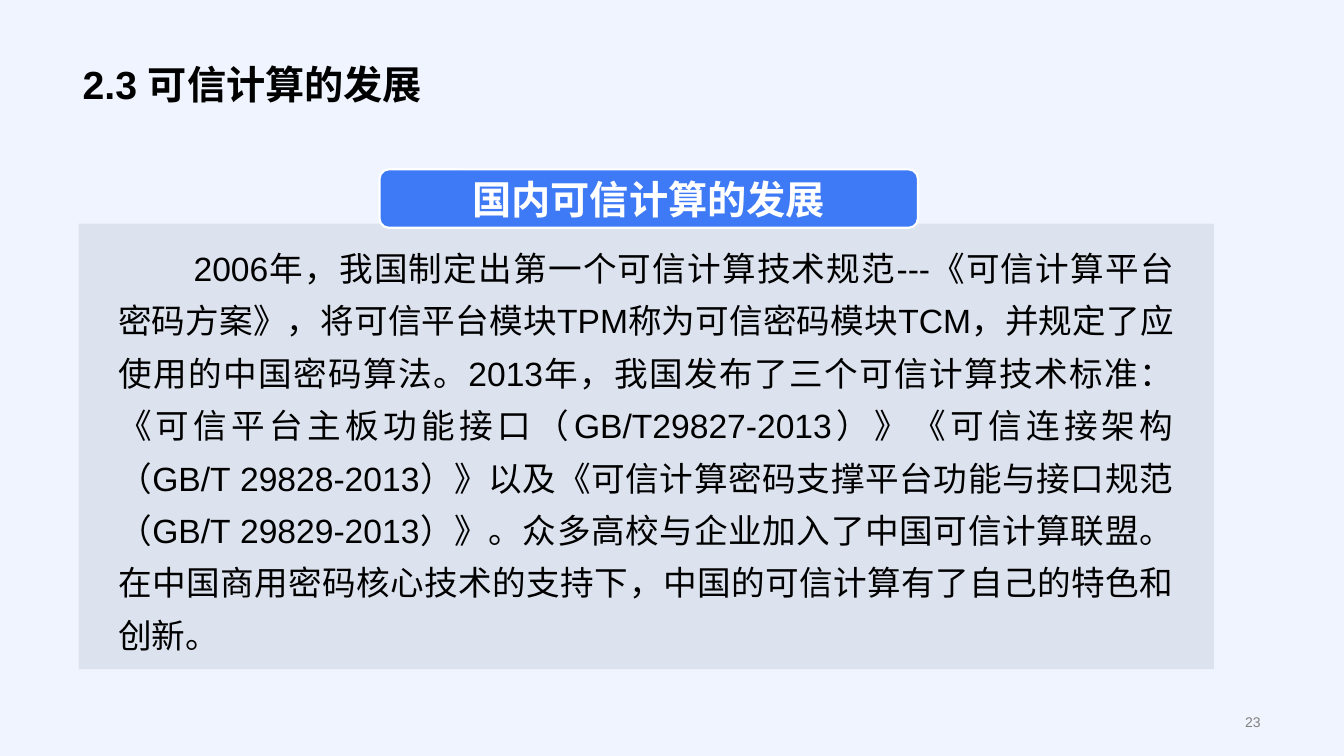
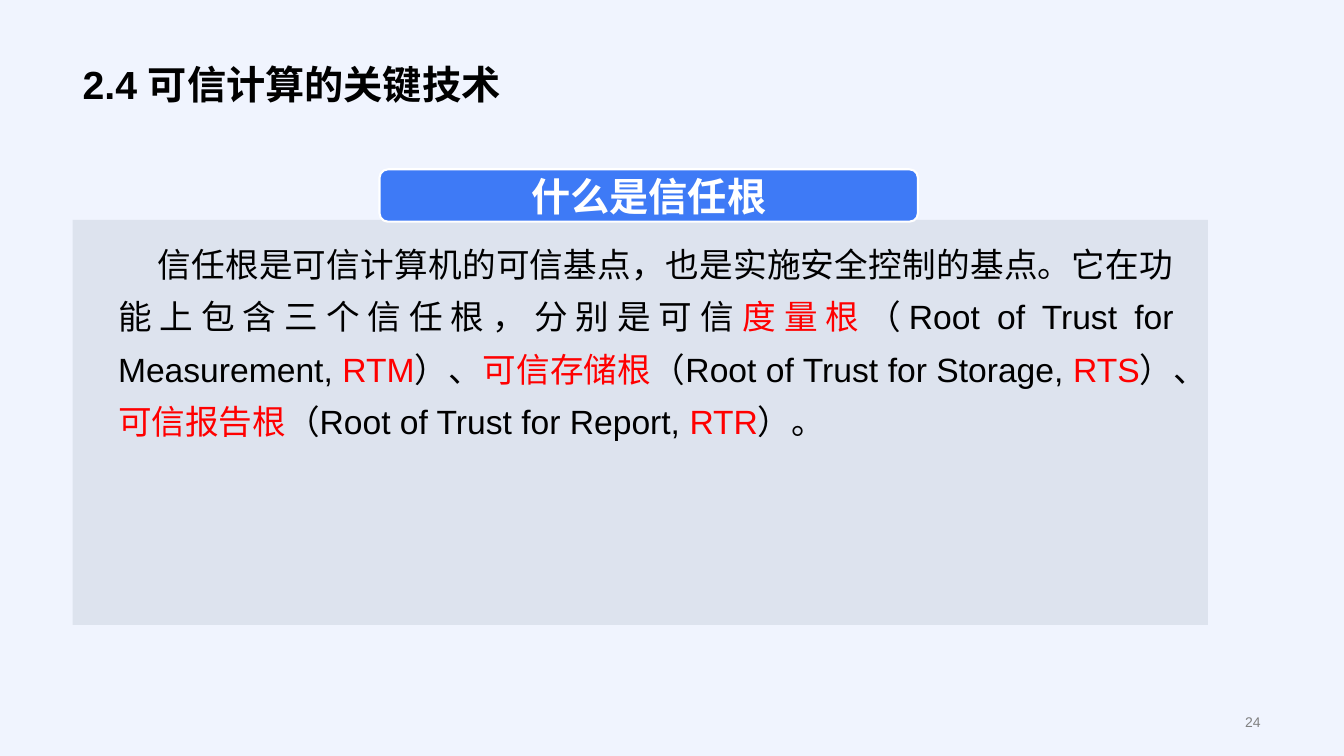
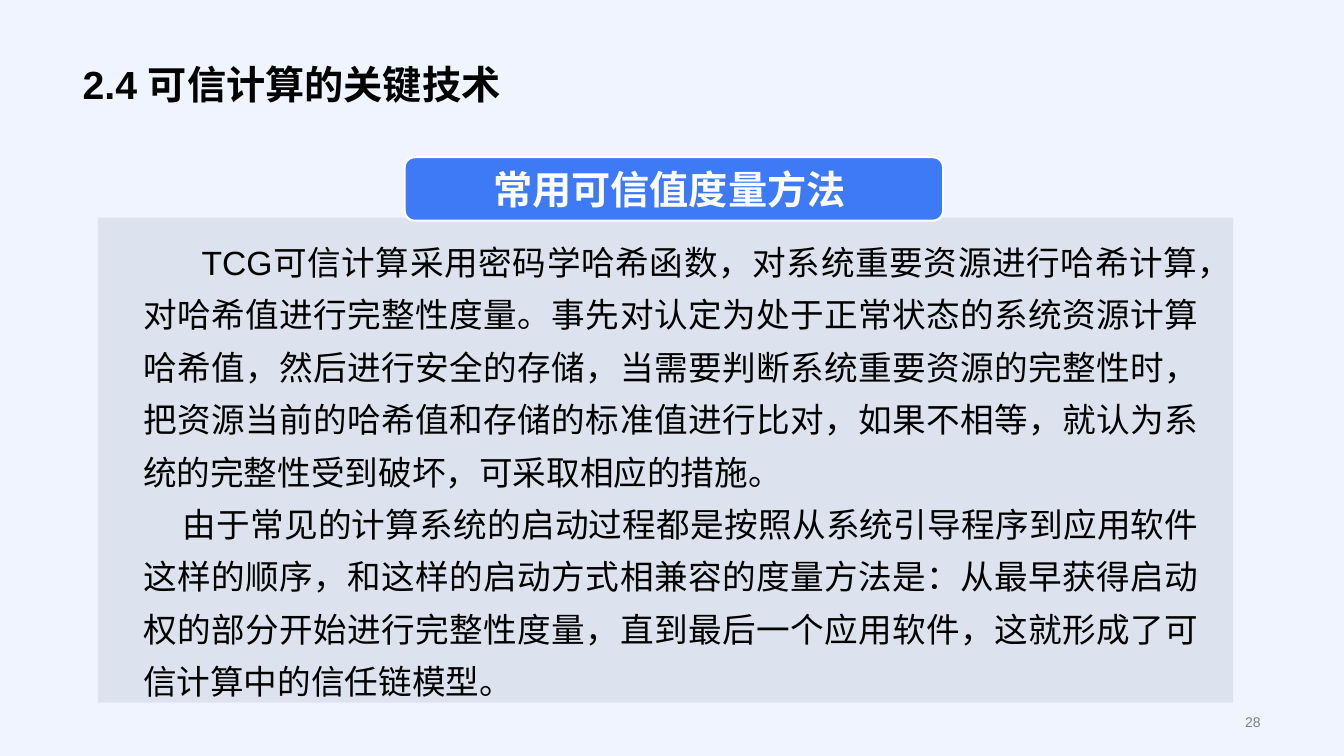
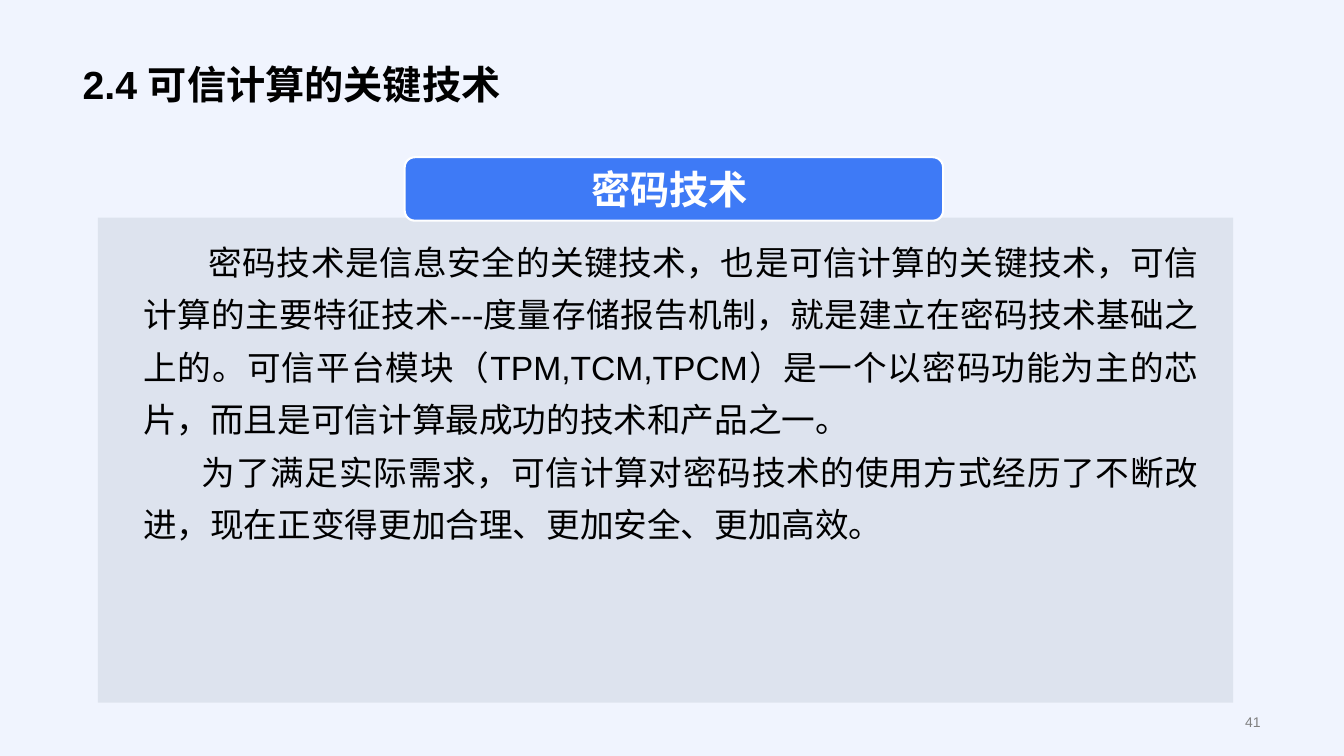
"""Four slides on trusted computing: a title, a blue tab and a grey text panel each."""
from lxml import etree
from pptx import Presentation
from pptx import util as u
from pptx.dml.color import RGBColor
from pptx.enum import shapes, text
from pptx.oxml.ns import qn

BLACK = RGBColor(0x00, 0x00, 0x00)
WHITE = RGBColor(0xFF, 0xFF, 0xFF)
RED = RGBColor(0xFF, 0x00, 0x00)
GREY = RGBColor(0x80, 0x80, 0x80)
BLUE = RGBColor(0x3E, 0x7A, 0xF6)
SLATE = RGBColor(0x77, 0x84, 0x95)
PALE = RGBColor(0xE6, 0xEE, 0xFE)

deck = Presentation()
deck.slide_width = u.Inches(13.33)
deck.slide_height = u.Inches(7.5)


def share(left, top, width, height):
    """Turn percentages of the slide into lengths."""
    wide, high = deck.slide_width / 100, deck.slide_height / 100
    return [u.Emu(round(n)) for n in (left * wide, top * high, width * wide, height * high)]


def add_span(para, words, size, colour, bold=False):
    """Add one formatted run to a paragraph."""
    span = para.add_run()
    span.text = words
    span.font.name = "Arial"
    span.font.size = u.Pt(size)
    span.font.bold = bold
    span.font.color.rgb = colour


master = deck.slide_master
master.background.fill.solid()
master.background.fill.fore_color.rgb = PALE
paint = next(master.element.iter(qn("p:bg"))).find(".//" + qn("a:srgbClr"))
etree.SubElement(paint, qn("a:alpha")).set("val", "60000")

layout = deck.slide_layouts.get_by_name("Title Only")
heading = layout.placeholders[0]
heading.left, heading.top, heading.width, heading.height = share(5.4, 0, 89.1, 14.93)
heading.text_frame.vertical_anchor = text.MSO_ANCHOR.BOTTOM
heading.text_frame.auto_size = text.MSO_AUTO_SIZE.NONE

PANEL_WIDTH, TEXT_WIDTH, TAB_WIDTH, TAB_SHIFT = 84.47, 80.35, 40.06, 20.36
TECHNIQUES = "2.4 可信计算的关键技术"

slides = [
    {
        "title": "2.3 可信计算的发展", "number": "23", "tab": "国内可信计算的发展",
        "panel": (5.85, 29.6, 58.93), "text_left": 7.88, "tab_rows": (22.4, 7.73),
        "paras": [(0.75, [
            ("2006年，我国制定出第一个可信计算技术规范---《可信计算平台密码方案》，将可信平台模块TPM称为可信密码模块TCM，并规定了应使用的中国密码算法。2013年，我国发布了三个可信计算技术标准：《可信平台主板功能接口（GB/T29827-2013）》《可信连接架构（GB/T 29828-2013）》以及《可信计算密码支撑平台功能与接口规范（GB/T 29829-2013）》。众多高校与企业加入了中国可信计算联盟。在中国商用密码核心技术的支持下，中国的可信计算有了自己的特色和创新。", BLACK),
        ])],
    },
    {
        "title": TECHNIQUES, "number": "24", "tab": "什么是信任根",
        "panel": (5.4, 29.07, 53.6), "text_left": 7.88, "tab_rows": (22.4, 6.93),
        "paras": [(0.39, [
            ("信任根是可信计算机的可信基点，也是实施安全控制的基点。它在功能上包含三个信任根，分别是可信", BLACK),
            ("度量根", RED),
            ("（Root of Trust for Measurement, ", BLACK),
            ("RTM", RED),
            ("）、", BLACK),
            ("可信存储根", RED),
            ("（Root of Trust for Storage, ", BLACK),
            ("RTS", RED),
            ("）、", BLACK),
            ("可信报告根", RED),
            ("（Root of Trust for Report, ", BLACK),
            ("RTR", RED),
            ("）。", BLACK),
        ])],
    },
    {
        "title": TECHNIQUES, "number": "28", "tab": "常用可信值度量方法 ",
        "panel": (7.28, 28.8, 64.13), "text_left": 9.75, "tab_rows": (20.8, 8.4),
        "paras": [
            (0.58, [("TCG可信计算采用密码学哈希函数，对系统重要资源进行哈希计算，对哈希值进行完整性度量。事先对认定为处于正常状态的系统资源计算哈希值，然后进行安全的存储，当需要判断系统重要资源的完整性时，把资源当前的哈希值和存储的标准值进行比对，如果不相等，就认为系统的完整性受到破坏，可采取相应的措施。", BLACK)]),
            (0.39, [("由于常见的计算系统的启动过程都是按照从系统引导程序到应用软件这样的顺序，和这样的启动方式相兼容的度量方法是：从最早获得启动权的部分开始进行完整性度量，直到最后一个应用软件，这就形成了可信计算中的信任链模型。", BLACK)]),
        ],
    },
    {
        "title": TECHNIQUES, "number": "41", "tab": "密码技术 ",
        "panel": (7.28, 28.8, 64.13), "text_left": 9.75, "tab_rows": (20.8, 8.4),
        "paras": [
            (0.65, [("密码技术是信息安全的关键技术，也是可信计算的关键技术，可信计算的主要特征技术---度量存储报告机制，就是建立在密码技术基础之上的。可信平台模块（TPM,TCM,TPCM）是一个以密码功能为主的芯片，而且是可信计算最成功的技术和产品之一。", BLACK)]),
            (0.58, [("为了满足实际需求，可信计算对密码技术的使用方式经历了不断改进，现在正变得更加合理、更加安全、更加高效。", BLACK)]),
        ],
    },
]

for content in slides:
    page = deck.slides.add_slide(layout)
    para = page.shapes.title.text_frame.paragraphs[0]
    para.alignment = text.PP_ALIGN.LEFT
    para.line_spacing = 0.9
    add_span(para, content["title"], 28, BLACK, bold=True)

    number = page.shapes.add_textbox(*share(72.7, 93.87, 21.83, 3.2))
    number.text_frame.word_wrap = True
    number.text_frame.vertical_anchor = text.MSO_ANCHOR.MIDDLE
    para = number.text_frame.paragraphs[0]
    para.alignment = text.PP_ALIGN.RIGHT
    add_span(para, content["number"], 10, GREY)

    group = page.shapes.add_group_shape()
    panel_left, panel_top, panel_height = content["panel"]
    panel = group.shapes.add_shape(
        shapes.MSO_SHAPE.ROUNDED_RECTANGLE,
        *share(panel_left, panel_top, PANEL_WIDTH, panel_height))
    panel.adjustments[0] = 0
    panel.shadow.inherit = False
    panel.fill.solid()
    panel.fill.fore_color.rgb = SLATE
    paint = panel.element.spPr.find(".//" + qn("a:srgbClr"))
    etree.SubElement(paint, qn("a:alpha")).set("val", "15000")
    panel.line.fill.background()

    box = group.shapes.add_textbox(
        *share(content["text_left"], panel_top, TEXT_WIDTH, panel_height))
    frame = box.text_frame
    frame.word_wrap = True
    frame.margin_left = frame.margin_right = u.Inches(0.12)
    frame.margin_top = frame.margin_bottom = u.Inches(0.12)
    for index, (indent, spans) in enumerate(content["paras"]):
        para = frame.add_paragraph() if index else frame.paragraphs[0]
        para.alignment = text.PP_ALIGN.JUSTIFY
        para.line_spacing = 1.3
        para._p.get_or_add_pPr().set("indent", str(u.Inches(indent)))
        for words, colour in spans:
            add_span(para, words, 24, colour)

    tab_top, tab_height = content["tab_rows"]
    tab = group.shapes.add_shape(
        shapes.MSO_SHAPE.ROUNDED_RECTANGLE,
        *share(content["text_left"] + TAB_SHIFT, tab_top, TAB_WIDTH, tab_height))
    tab.adjustments[0] = 0.16
    tab.shadow.inherit = False
    tab.fill.solid()
    tab.fill.fore_color.rgb = BLUE
    tab.line.color.rgb = WHITE
    tab.line.width = u.Pt(1.5)
    tab.text_frame.vertical_anchor = text.MSO_ANCHOR.MIDDLE
    para = tab.text_frame.paragraphs[0]
    para.alignment = text.PP_ALIGN.CENTER
    add_span(para, content["tab"], 28, WHITE, bold=True)

deck.save("out.pptx")
